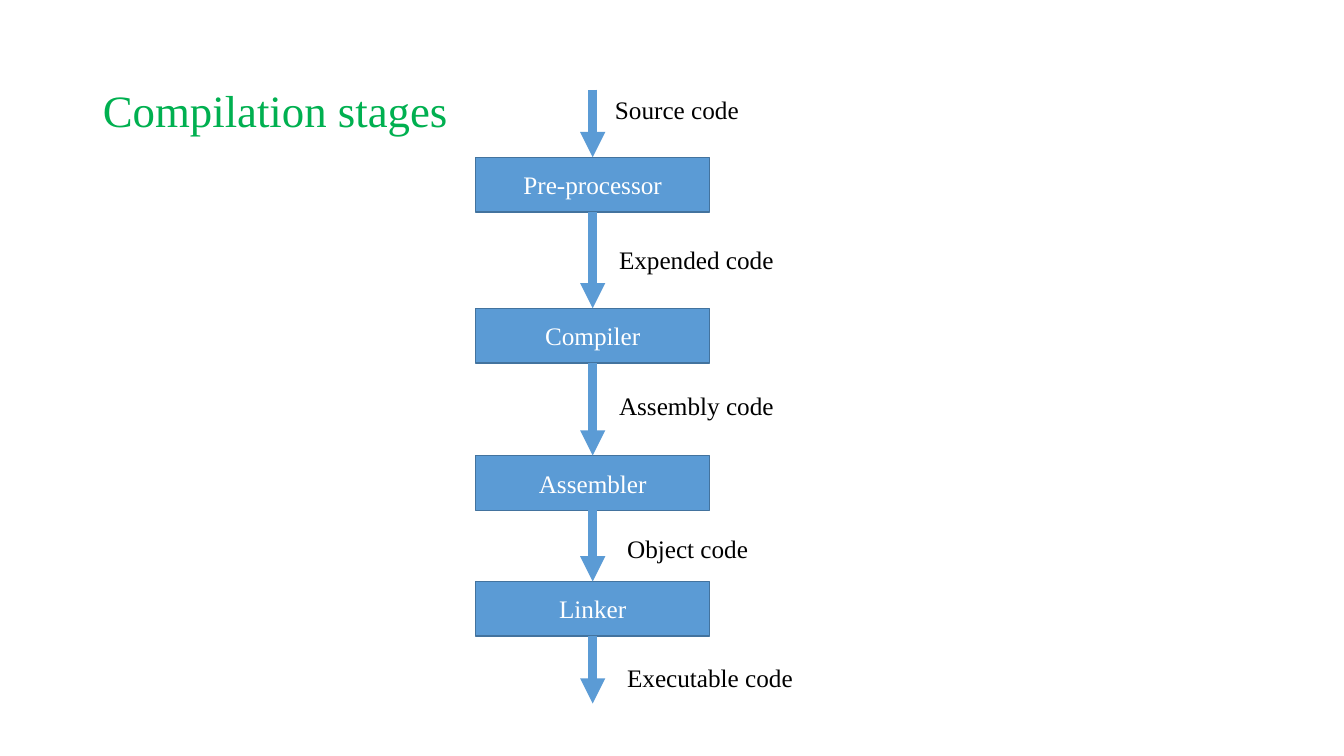
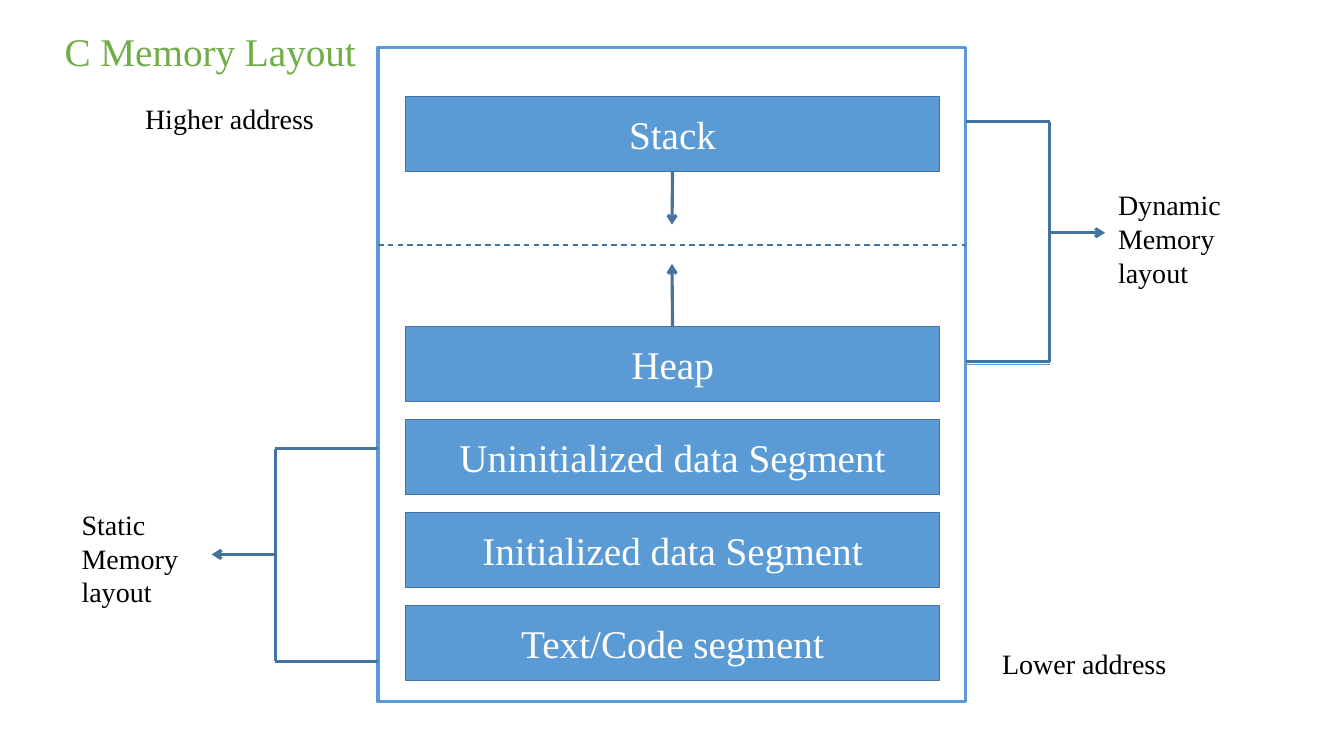
import pptx
import pptx.dml.color
import pptx.enum.dml
import pptx.enum.shapes
import pptx.enum.text
import pptx.oxml
import pptx.oxml.ns
import pptx.util
from dataclasses import dataclass

FONT = "Times New Roman"
BLUE, EDGE, WHITE, BLACK = "5B9BD5", "43739E", "FFFFFF", "000000"
GREEN, LEAF = "00B050", "70AD47"
ALIGN = pptx.enum.text.PP_ALIGN
ANCHOR = pptx.enum.text.MSO_ANCHOR
FIT = pptx.enum.text.MSO_AUTO_SIZE


@dataclass
class Box:
    x: float
    y: float
    w: float
    h: float

    def point(self, px, py):
        return self.x + self.w * px / 100, self.y + self.h * py / 100

    def share(self, px, py, pw, ph):
        return Box(*self.point(px, py), self.w * pw / 100, self.h * ph / 100)

    def emu(self):
        return [pptx.util.Inches(v) for v in (self.x, self.y, self.w, self.h)]


SLIDE = Box(0, 0, 13.33, 7.5)


def rgb(color):
    return pptx.dml.color.RGBColor.from_string(color)


def write(tf, lines, size, color, align=ALIGN.LEFT):
    tf.word_wrap = True
    for i, line in enumerate(lines):
        p = tf.add_paragraph() if i else tf.paragraphs[0]
        p.alignment = align
        r = p.add_run()
        r.text = line
        r.font.name, r.font.size = FONT, pptx.util.Pt(size)
        r.font.color.rgb = rgb(color)


def add_title(slide, box, text, size, color):
    sp = slide.shapes.title
    sp.left, sp.top, sp.width, sp.height = box.emu()
    tf = sp.text_frame
    write(tf, [text], size, color)
    tf.auto_size = FIT.NONE
    tf.vertical_anchor = ANCHOR.MIDDLE
    tf.paragraphs[0].line_spacing = 0.9


def add_label(slide, box, lines, size):
    tf = slide.shapes.add_textbox(*box.emu()).text_frame
    write(tf, lines, size, BLACK)
    tf.auto_size = FIT.SHAPE_TO_FIT_TEXT


def add_rect(slide, box, fill, line, width):
    sp = slide.shapes.add_shape(pptx.enum.shapes.MSO_SHAPE.RECTANGLE, *box.emu())
    sp.shadow.inherit = False
    sp.fill.solid()
    sp.fill.fore_color.rgb = rgb(fill)
    sp.line.color.rgb = rgb(line)
    sp.line.width = pptx.util.Pt(width)
    return sp


def add_block(slide, box, text, size):
    sp = add_rect(slide, box, BLUE, EDGE, 1)
    write(sp.text_frame, [text], size, WHITE, ALIGN.CENTER)
    sp.text_frame.vertical_anchor = ANCHOR.MIDDLE
    return sp


def add_line(slide, start, end, color=EDGE, width=2.25, head=None, dash=None):
    ends = [pptx.util.Inches(v) for v in (*start, *end)]
    c = slide.shapes.add_connector(pptx.enum.shapes.MSO_CONNECTOR.STRAIGHT, *ends)
    c.line.color.rgb = rgb(color)
    c.line.width = pptx.util.Pt(width)
    if dash:
        c.line.dash_style = dash
    props = c._element.spPr
    if head:
        tail = pptx.oxml.parse_xml(
            f'<a:tailEnd {pptx.oxml.ns.nsdecls("a")} type="{head}"/>')
        props.find(pptx.oxml.ns.qn("a:ln")).append(tail)
    props.append(pptx.oxml.parse_xml(f'<a:effectLst {pptx.oxml.ns.nsdecls("a")}/>'))
    return c


def add_flow(slide, box, stages, labels):
    block_w, block_h = 63.5, 8.9
    blocks = [add_block(slide, box.share(0, top, block_w, block_h), text, 18)
              for text, top in stages]
    for text, left, top in labels:
        add_label(slide, box.share(left, top, 100 - left, 6.6), [text], 18)
    starts = [0] + [top + block_h for _, top in stages]
    ends = [top for _, top in stages] + [100]
    for i, (start, end) in enumerate(zip(starts, ends)):
        c = add_line(slide, box.point(block_w / 2, start), box.point(block_w / 2, end),
                     BLUE, 6, "triangle")
        if i > 0:
            c.begin_connect(blocks[i - 1], 2)
        if i < len(blocks):
            c.end_connect(blocks[i], 0)


def add_memory(slide, box, stack, segments):
    add_rect(slide, box, WHITE, BLUE, 2.25)
    left, width, height, stack_top, heap_top, step = 4.65, 90.9, 11.4, 7.55, 42.7, 14.22
    top_block = add_block(slide, box.share(left, stack_top, width, height), stack, 28)
    blocks = [add_block(slide, box.share(left, heap_top + i * step, width, height), text, 28)
              for i, text in enumerate(segments)]
    add_line(slide, box.point(0, 30.2), box.point(100, 30.2), width=1,
             dash=pptx.enum.dml.MSO_LINE.DASH)
    growth = [(top_block, 2, stack_top + height, 27.1), (blocks[0], 0, heap_top, 33.1)]
    for block, side, start, end in growth:
        c = add_line(slide, box.point(50, start), box.point(50, end), head="arrow")
        c.begin_connect(block, side)


def add_bracket(slide, box, lines, spine, tip, middle, mirrored=False):
    def at(px, py):
        return box.point(100 - px if mirrored else px, py)

    add_line(slide, at(spine, 0), at(spine, 100))
    for py in (0, 100):
        add_line(slide, at(0, py), at(spine, py))
    add_line(slide, at(spine, middle), at(tip, middle), head="arrow")
    add_label(slide, box.share(0 if mirrored else 46.4, 25.4, 53.6, 47), lines, 20)


def compilation_slide(slide):
    add_title(slide, SLIDE.share(6.9, 5.33, 28.2, 19.33), "Compilation stages", 32, GREEN)
    add_flow(slide, SLIDE.share(35.4, 11.87, 27.4, 81.2),
             [("Pre-processor", 11), ("Compiler", 35.6),
              ("Assembler", 59.6), ("Linker", 80.1)],
             [("Source code", 35.1, 0), ("Expended code", 36.2, 24.3),
              ("Assembly code", 36.2, 48.1), ("Object code", 38.4, 71.4),
              ("Executable code", 38.4, 92.4)])


def memory_slide(slide):
    add_title(slide, SLIDE.share(4.05, 3.73, 24, 6.67), "C Memory Layout", 28, LEAF)
    add_memory(slide, SLIDE.share(28.13, 6.27, 43.74, 86.53), "Stack",
               ["Heap", "Uninitialized data Segment", "Initialized data Segment",
                "Text/Code segment"])
    add_label(slide, SLIDE.share(73.82, 84.8, 16.13, 5.87), ["Lower address"], 20)
    add_label(slide, SLIDE.share(10.05, 12.8, 16.13, 5.87), ["Higher address"], 20)
    dynamic = SLIDE.share(71.87, 16.13, 22.8, 31.73)
    add_bracket(slide, dynamic, ["Dynamic Memory", "layout"], 27.3, 45.4, 46.2)
    add_line(slide, dynamic.point(27.3, 101), dynamic.point(0, 101), BLUE, 0.5)
    add_bracket(slide, SLIDE.share(5.33, 59.33, 22.8, 28.13),
                ["Static Memory", "layout"], 33.6, 54.3, 49.8, mirrored=True)


def main():
    prs = pptx.Presentation()
    prs.slide_width, prs.slide_height = SLIDE.emu()[2:]
    for build in (compilation_slide, memory_slide):
        build(prs.slides.add_slide(prs.slide_layouts[5]))
    prs.save("out.pptx")


if __name__ == "__main__":
    main()
